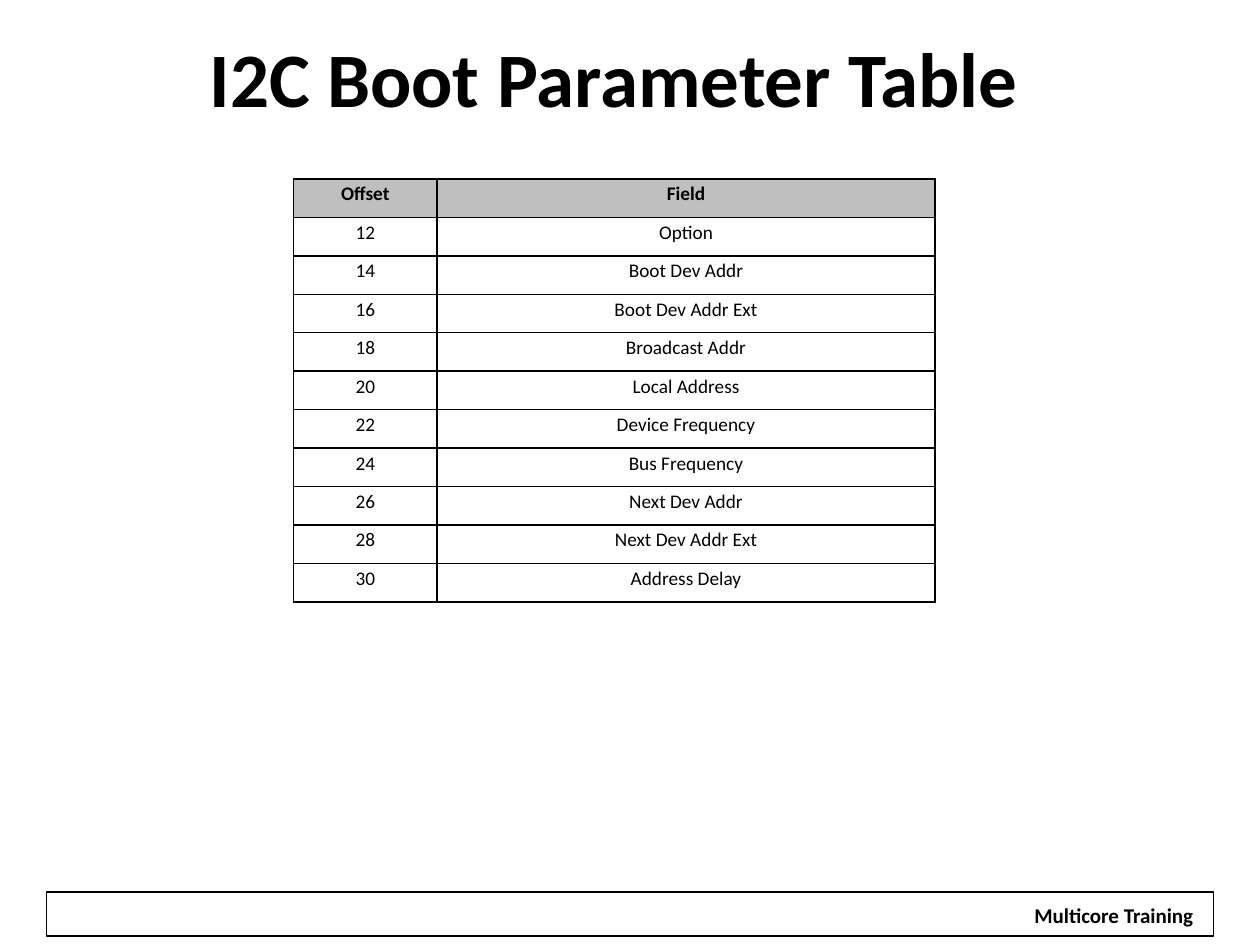
from lxml import etree
from pptx import Presentation
from pptx.dml.color import RGBColor
from pptx.enum.shapes import MSO_SHAPE
from pptx.enum.text import MSO_ANCHOR, PP_ALIGN
from pptx.oxml.ns import qn
from pptx.util import Inches, Pt

CENTER = PP_ALIGN.CENTER
MIDDLE = MSO_ANCHOR.MIDDLE
RECT = MSO_SHAPE.RECTANGLE
BLACK, WHITE, GRAY = "000000", "FFFFFF", "BFBFBF"

FIELDS = ["Option", "Boot Dev Addr", "Boot Dev Addr Ext", "Broadcast Addr",
          "Local Address", "Device Frequency", "Bus Frequency",
          "Next Dev Addr", "Next Dev Addr Ext", "Address Delay"]


def rgb(value):
    return RGBColor.from_string(value)


def set_text(tf, text, size, bold):
    """Write one centred Calibri paragraph and return it."""
    tf.text = text
    p = tf.paragraphs[0]
    p.alignment = CENTER
    p.font.name = "Calibri"
    p.font.size = Pt(size)
    p.font.bold = bold
    p.font.color.rgb = rgb(BLACK)
    return p


prs = Presentation()
prs.slide_width, prs.slide_height = Inches(10), Inches(7.5)
s = prs.slides.add_slide(prs.slide_layouts[5])

# Footer bar and its label
bar = s.shapes.add_shape(RECT, Inches(0.37), Inches(7.08), Inches(9.26), Inches(0.35))
bar.shadow.inherit = False
bar.fill.background()
bar.line.color.rgb = rgb(BLACK)
bar.line.width = Pt(0.75)

label = s.shapes.add_shape(RECT, Inches(8.1), Inches(7.11), Inches(1.48), Inches(0.3))
label.shadow.inherit = False
label.fill.solid()
label.fill.fore_color.rgb = rgb(WHITE)
label.line.fill.background()
label.text_frame.word_wrap = False
set_text(label.text_frame, "Multicore Training", 12, True)

# Title
title = s.shapes.title
title.left, title.top = Inches(0.25), Inches(0.16)
title.width, title.height = Inches(9.25), Inches(0.89)
title.text_frame.vertical_anchor = MIDDLE
set_text(title.text_frame, "I2C Boot Parameter Table", 44, True)

# Parameter table: offsets start at 12 and step by 2
rows = [("Offset", "Field")]
rows += [(str(12 + 2 * i), field) for i, field in enumerate(FIELDS)]
table = s.shapes.add_table(len(rows), 2, Inches(2.33), Inches(1.42),
                           Inches(5.09), Inches(3.36)).table
table.first_row = False
table.horz_banding = False
table.columns[0].width = Inches(1.14)
table.columns[1].width = Inches(3.95)

for i, row in enumerate(rows):
    for j, text in enumerate(row):
        cell = table.cell(i, j)
        cell.margin_left = cell.margin_right = Inches(0.07)
        cell.margin_top = cell.margin_bottom = 0
        p = set_text(cell.text_frame, text, 11, i == 0)
        p.line_spacing = 1.15
        tc_pr = cell._tc.get_or_add_tcPr()
        for side in ("a:lnL", "a:lnR", "a:lnT", "a:lnB"):
            ln = etree.SubElement(tc_pr, qn(side), w=str(Pt(1)))
            fill = etree.SubElement(ln, qn("a:solidFill"))
            etree.SubElement(fill, qn("a:srgbClr"), val=BLACK)
        if i == 0:
            cell.fill.solid()
            cell.fill.fore_color.rgb = rgb(GRAY)
        else:
            cell.fill.background()

prs.save("out.pptx")
